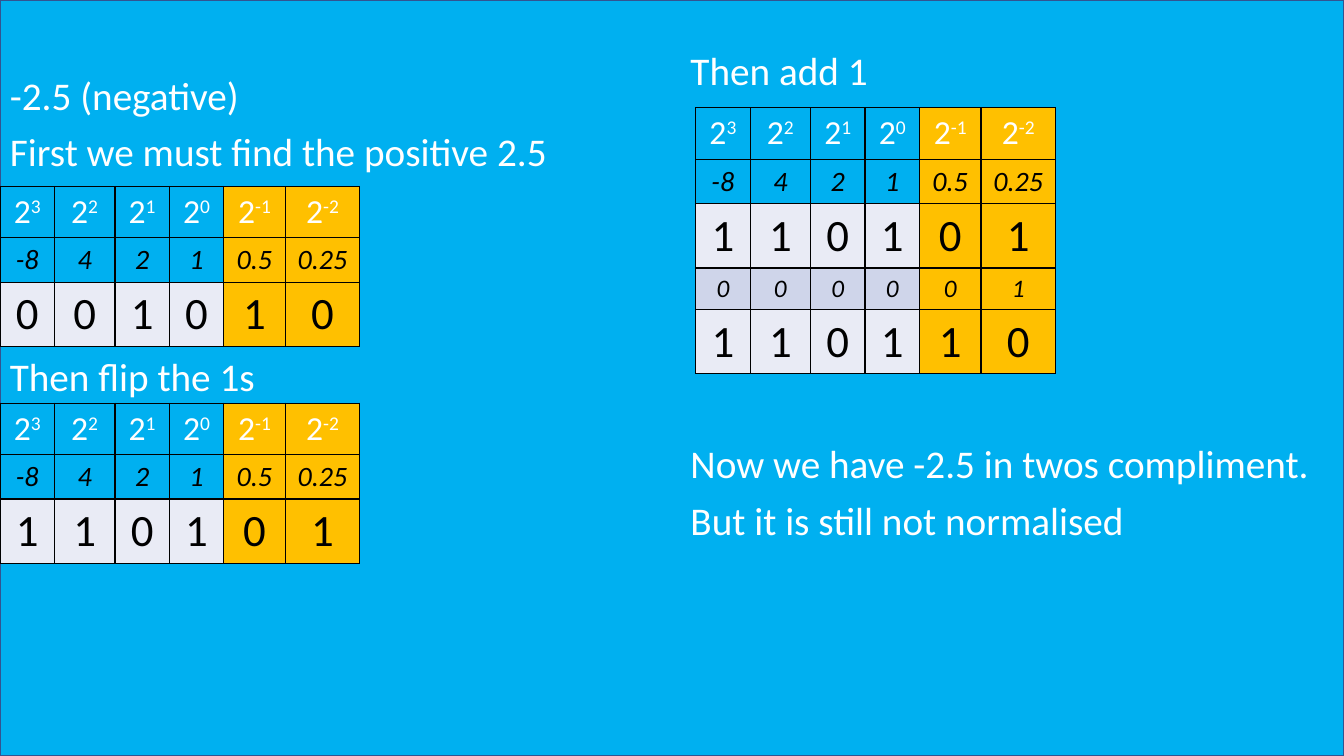
from lxml.etree import SubElement
from pptx import Presentation
from pptx.dml.color import RGBColor
from pptx.enum.shapes import MSO_SHAPE
from pptx.enum.text import PP_ALIGN
from pptx.oxml.ns import qn
from pptx.util import Inches, Pt

GRID = Inches(0.1)
WIDE, HIGH = 133.3, 75
COLORS = {"sky": "00B0F0", "gold": "FFC000", "pale": "E9EBF5", "lilac": "CFD5EA",
          "white": "FFFFFF", "black": "000000", "edge": "325491"}
COLS = [5.4, 6, 5.4, 5.4, 6.1, 7.4]
WHOLE = 4  # columns left of the binary point
POWERS = ["3", "2", "1", "0", "-1", "-2"]
VALUES = ["-8", "4", "2", "1", "0.5", "0.25"]
# kind of row: height, fill of the whole part, text colour, font format
ROWS = {
    "power": (5.1, "sky", "white", {"size": Pt(24), "italic": False}),
    "value": (4.4, "sky", "black", {"size": Pt(20), "italic": True}),
    "bits": (6.4, "pale", "black", {"size": Pt(32), "italic": False}),
    "carry": (4.1, "lilac", "black", {"size": Pt(18), "italic": True}),
}
HEAD = [("power", POWERS), ("value", VALUES)]


def grid(*cells):
    return [round(cell * GRID) for cell in cells]


def color(name):
    return RGBColor.from_string(COLORS[name])


def style(font, tint, form):
    font.name = "Calibri"
    font.color.rgb = color(tint)
    for key, value in form.items():
        setattr(font, key, value)


def add_back(slide):
    back = slide.shapes.add_shape(MSO_SHAPE.RECTANGLE, *grid(0, 0, WIDE, HIGH))
    back.shadow.inherit = False
    back.fill.solid()
    back.fill.fore_color.rgb = color("sky")
    back.line.color.rgb = color("edge")
    back.line.width = Pt(1)


def add_notes(slide, left, top, lines):
    """Add a text box; each line is its text and the points before it."""
    box = slide.shapes.add_textbox(*grid(left, top, WIDE - left, HIGH - top))
    frame = box.text_frame
    frame.word_wrap = True
    for index, (text, gap) in enumerate(lines):
        para = frame.paragraphs[0] if index == 0 else frame.add_paragraph()
        para.line_spacing = 0.9
        para.space_before = Pt(gap)
        run = para.add_run()
        run.text = text
        style(run.font, "white", {"size": Pt(28)})


def add_edges(cell):
    props = cell._tc.get_or_add_tcPr()
    for index, side in enumerate(("lnL", "lnR", "lnT", "lnB")):
        line = SubElement(props, qn(f"a:{side}"), w=str(Pt(1)))
        fill = SubElement(line, qn("a:solidFill"))
        SubElement(fill, qn("a:srgbClr"), val=COLORS["black"])
        props.insert(index, line)


def fill_cell(cell, kind, text, shade):
    _, _, tint, form = ROWS[kind]
    cell.fill.solid()
    cell.fill.fore_color.rgb = color(shade)
    add_edges(cell)
    para = cell.text_frame.paragraphs[0]
    para.alignment = PP_ALIGN.CENTER
    for part in (["2", text] if kind == "power" else [text]):
        run = para.add_run()
        run.text = part
        style(run.font, tint, form)
    if kind == "power":
        run._r.get_or_add_rPr().set("baseline", "30000")


def add_bits(slide, left, top, body):
    """Add a place value table with the given rows under its two heads."""
    rows = HEAD + body
    high = sum(ROWS[kind][0] for kind, _ in rows)
    table = slide.shapes.add_table(len(rows), len(COLS),
                                   *grid(left, top, sum(COLS), high)).table
    for col, width in zip(table.columns, grid(*COLS)):
        col.width = width
    for row, (kind, texts) in zip(table.rows, rows):
        row.height = grid(ROWS[kind][0])[0]
        for index, (cell, text) in enumerate(zip(row.cells, texts)):
            fill_cell(cell, kind, text, ROWS[kind][1] if index < WHOLE else "gold")


def main():
    deck = Presentation()
    deck.slide_width, deck.slide_height = grid(WIDE, HIGH)
    slide = deck.slides.add_slide(deck.slide_layouts[6])
    add_back(slide)
    add_notes(slide, 0, 7.1, [("-2.5 (negative)", 0),
                              ("First we must find the positive 2.5", 10),
                              ("Then flip the 1s", 130)])
    add_notes(slide, 67.5, 4.6, [("Then add 1", 0),
                                 ("Now we have -2.5 in twos compliment.", 251),
                                 ("But it is still not normalised", 10)])
    add_bits(slide, 0, 18.5, [("bits", "001010")])
    add_bits(slide, 0, 40, [("bits", "110101")])
    add_bits(slide, 69, 10.7, [("bits", "110101"), ("carry", "000001"),
                               ("bits", "110110")])
    deck.save("out.pptx")


if __name__ == "__main__":
    main()
